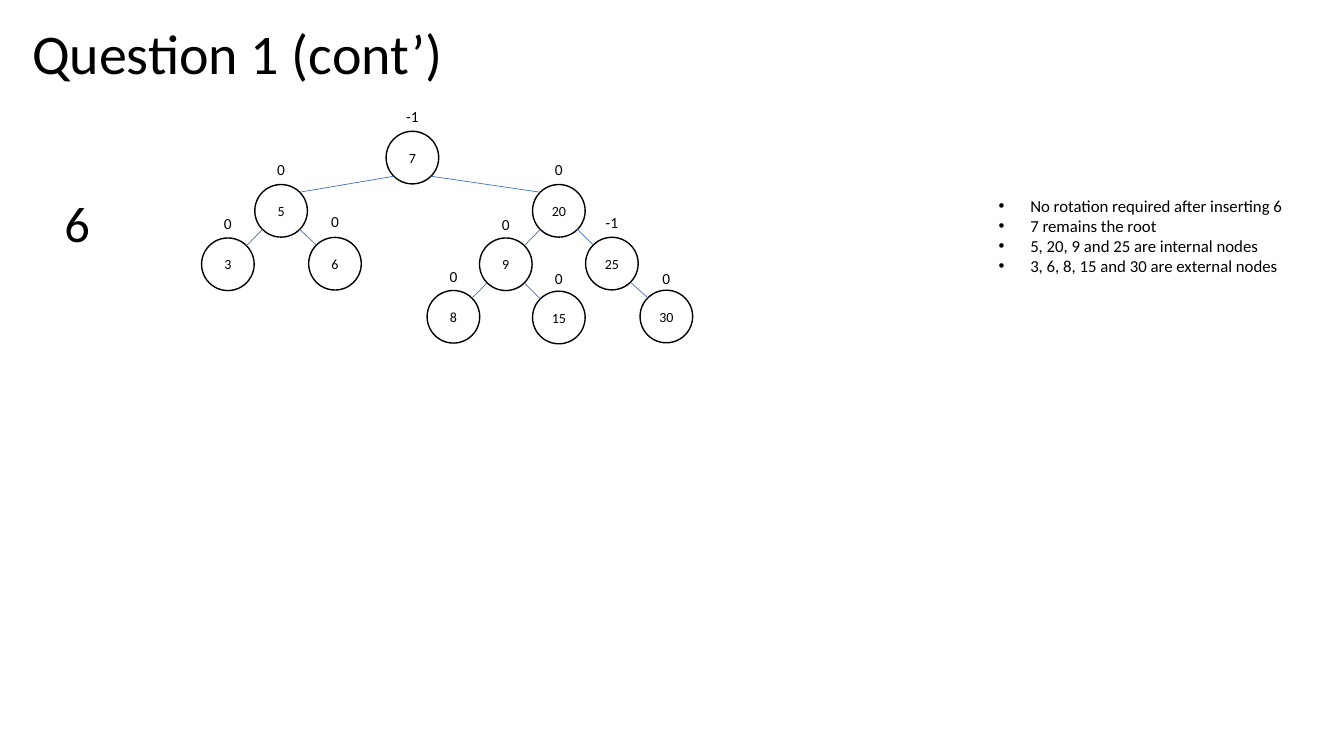
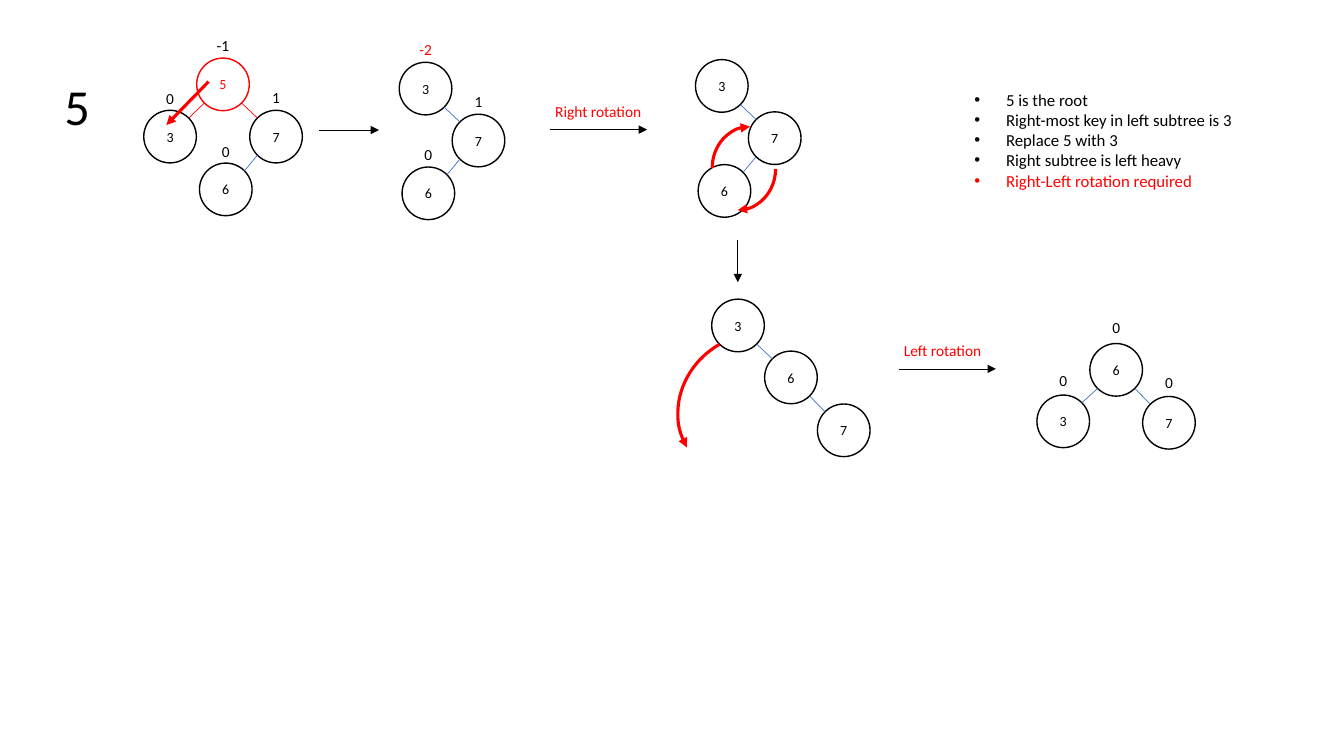
from lxml import etree
from pptx import Presentation
from pptx.dml.color import RGBColor
from pptx.enum.shapes import MSO_CONNECTOR, MSO_SHAPE
from pptx.enum.text import MSO_ANCHOR, MSO_AUTO_SIZE, PP_ALIGN
from pptx.oxml.ns import qn
from pptx.util import Pt

STRAIGHT = MSO_CONNECTOR.STRAIGHT
OVAL, ARC = MSO_SHAPE.OVAL, MSO_SHAPE.ARC
MIDDLE, GROW = MSO_ANCHOR.MIDDLE, MSO_AUTO_SIZE.SHAPE_TO_FIT_TEXT
LEFT, CENTER = PP_ALIGN.LEFT, PP_ALIGN.CENTER

BLACK, RED, BLUE = "000000", "FF0000", "4472C4"
FONT = "Calibri"
NODE = 37.6
RADIUS = NODE / 2
DIAGONAL = RADIUS * 0.5 ** 0.5
BALANCE_WIDTH, BALANCE_HEIGHT = 31, 20.9
INDENT = 22.5


def write(frame, lines, size, align=LEFT, wrap=True, bulleted=False):
    frame.word_wrap = wrap
    for number, (text, colour) in enumerate(lines):
        paragraph = frame.add_paragraph() if number else frame.paragraphs[0]
        paragraph.text = text
        paragraph.alignment = align
        paragraph.font.name = FONT
        paragraph.font.size = Pt(size)
        paragraph.font.color.rgb = RGBColor.from_string(colour)
        if bulleted:
            properties = paragraph._p.get_or_add_pPr()
            properties.set("marL", str(Pt(INDENT)))
            properties.set("indent", str(-Pt(INDENT)))
            etree.SubElement(properties, qn("a:buFont"), typeface="Arial")
            etree.SubElement(properties, qn("a:buChar"), char="•")


def stroke(shape, colour, width, arrow=False):
    shape.line.color.rgb = RGBColor.from_string(colour)
    shape.line.width = Pt(width)
    if arrow:
        etree.SubElement(shape.line._get_or_add_ln(), qn("a:tailEnd"), type="triangle")
    etree.SubElement(shape._element.spPr, qn("a:effectLst"))


# key, left, top, parent, balance, balance top, colour
insert_six_tree = [
    ("7", 275.8, 93.8, None, "-1", 73, BLACK),
    ("5", 182, 131.8, "7", "0", 111, BLACK),
    ("20", 380.4, 131.8, "7", "0", 111, BLACK),
    ("3", 144, 170, "5", "0", 149.4, BLACK),
    ("6", 220.5, 169.6, "5", "0", 148.2, BLACK),
    ("9", 342.5, 170, "20", "0", 150.2, BLACK),
    ("25", 418.3, 169.5, "20", "-1", 148.5, BLACK),
    ("8", 305.1, 207.5, "9", "0", 187.2, BLACK),
    ("15", 380.4, 208, "9", "0", 188.6, BLACK),
    ("30", 457.2, 207.3, "25", "0", 188.6, BLACK),
]
delete_five_trees = [
    [
        ("5", 140.5, 41.5, None, "-1", 22.3, RED),
        ("3", 102.7, 78.8, "5", "0", 60.3, BLACK),
        ("7", 178.4, 78.8, "5", "1", 59.6, BLACK),
        ("6", 142.5, 116.5, "7", "0", 98, BLACK),
    ],
    [
        ("3", 285.2, 44.5, None, "-2", 25.2, BLACK),
        ("7", 323, 81.6, "3", "1", 62.2, BLACK),
        ("6", 287.2, 119.3, "7", "0", 100.1, BLACK),
    ],
    [
        ("3", 496.8, 42.6, None, None, None, BLACK),
        ("7", 534.6, 79.9, "3", None, None, BLACK),
        ("6", 498.7, 117.6, "7", None, None, BLACK),
    ],
    [
        ("3", 508.4, 213.7, None, None, None, BLACK),
        ("6", 546.2, 250.8, "3", None, None, BLACK),
        ("7", 583.9, 288.6, "6", None, None, BLACK),
    ],
    [
        ("6", 778.5, 245.4, None, "0", 224, BLACK),
        ("3", 740.7, 282.2, "6", "0", 261.4, BLACK),
        ("7", 816.2, 283.2, "6", "0", 262.8, BLACK),
    ],
]

pages = [
    {
        "trees": [insert_six_tree],
        "headings": [((15.8, 9.4, 358, 55.4), "Question 1 (cont’)", 40),
                     ((38.9, 133.9, 122.4, 51), "6", 36)],
        "notes_box": (706.3, 136.1, 219.6, 65.5),
        "notes": [
            ("No rotation required after inserting 6", BLACK),
            ("7 remains the root", BLACK),
            ("5, 20, 9 and 25 are internal nodes", BLACK),
            ("3, 6, 8, 15 and 30 are external nodes", BLACK),
        ],
        "arrows": [],
        "rotations": [],
        "captions": [],
    },
    {
        "trees": delete_five_trees,
        "headings": [((38.9, 50.4, 122.4, 51), "5", 36)],
        "notes_box": (689, 60.5, 200.9, 80),
        "notes": [
            ("5 is the root", BLACK),
            ("Right-most key in left subtree is 3", BLACK),
            ("Replace 5 with 3", BLACK),
            ("Right subtree is left heavy", BLACK),
            ("Right-Left rotation required", RED),
        ],
        "arrows": [
            ((149, 58.3, 118.8, 89.3), RED, 2.25),
            ((228.2, 92.9, 270.7, 92.9), BLACK, 0.5),
            ((393.1, 92.6, 462.2, 92.6), BLACK, 0.5),
            ((527, 171.4, 527, 201.6), BLACK, 0.5),
            ((642.2, 263.5, 711.4, 263.5), BLACK, 0.5),
        ],
        "rotations": [
            ((506.2, 92.9, 59, 54), 270.1, False),
            ((497.5, 93.6, 59, 54), 90.1, False),
            ((483.1, 239, 113.8, 104.4), 330, True),
        ],
        "captions": [((389.5, 69.1, 77, 20.9), "Right rotation"),
                     ((638.6, 239.8, 70.6, 20.9), "Left rotation")],
    },
]

deck = Presentation()
deck.slide_width, deck.slide_height = Pt(960), Pt(540)

for page in pages:
    shapes = deck.slides.add_slide(deck.slide_layouts[6]).shapes
    texts = [(box, [(text, BLACK)], size, LEFT, True, False)
             for box, text, size in page["headings"]]
    texts += [(box, [(text, RED)], 11, LEFT, False, False)
              for box, text in page["captions"]]
    texts.append((page["notes_box"], page["notes"], 12, LEFT, False, True))

    for tree in page["trees"]:
        placed = {}
        for key, left, top, parent, balance, balance_top, colour in tree:
            node = shapes.add_shape(OVAL, Pt(left), Pt(top), Pt(NODE), Pt(NODE))
            node.fill.background()
            stroke(node, colour, 1)
            node.text_frame.vertical_anchor = MIDDLE
            write(node.text_frame, [(key, colour)], 10, CENTER)

            x, y = left + RADIUS, top + RADIUS
            placed[key] = x, y, colour
            if parent:
                parent_x, parent_y, parent_colour = placed[parent]
                reach = DIAGONAL if x > parent_x else -DIAGONAL
                ends = (parent_x + reach, parent_y + DIAGONAL, x - reach, y - DIAGONAL)
                branch = shapes.add_connector(STRAIGHT, *map(Pt, ends))
                stroke(branch, RED if parent_colour == RED else BLUE, 0.5)
            if balance:
                box = (x - BALANCE_WIDTH / 2, balance_top, BALANCE_WIDTH, BALANCE_HEIGHT)
                balance_colour = RED if balance == "-2" else BLACK
                texts.append((box, [(balance, balance_colour)], 11, CENTER, True, False))

    for ends, colour, width in page["arrows"]:
        arrow = shapes.add_connector(STRAIGHT, *map(Pt, ends))
        stroke(arrow, colour, width, arrow=True)

    for box, angle, mirrored in page["rotations"]:
        turn = shapes.add_shape(ARC, *map(Pt, box))
        turn.rotation = angle
        turn.fill.background()
        stroke(turn, RED, 2.25, arrow=True)
        if mirrored:
            turn._element.spPr.find(qn("a:xfrm")).set("flipH", "1")

    for box, *content in texts:
        frame = shapes.add_textbox(*map(Pt, box)).text_frame
        frame.auto_size = GROW
        write(frame, *content)

deck.save("out.pptx")
